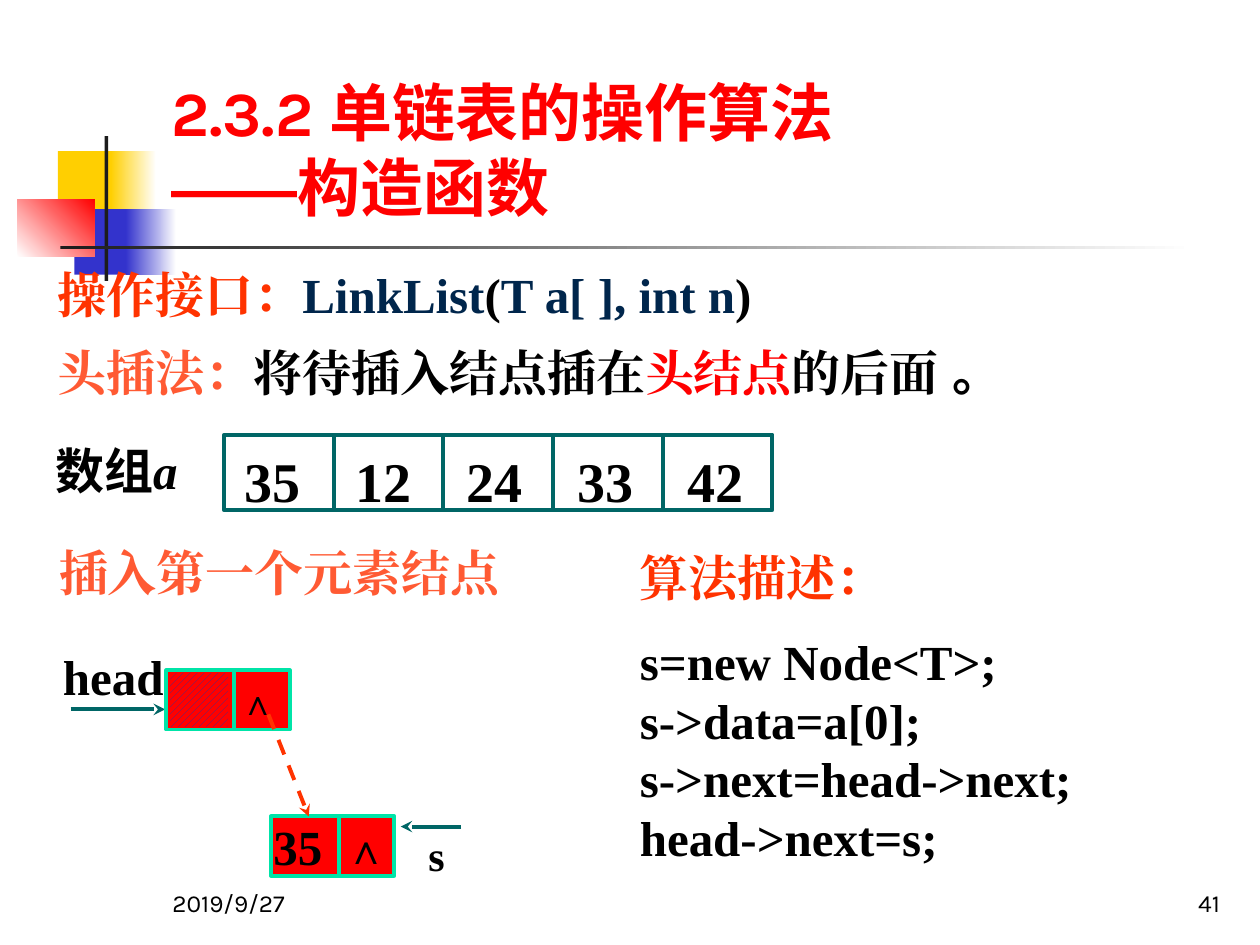
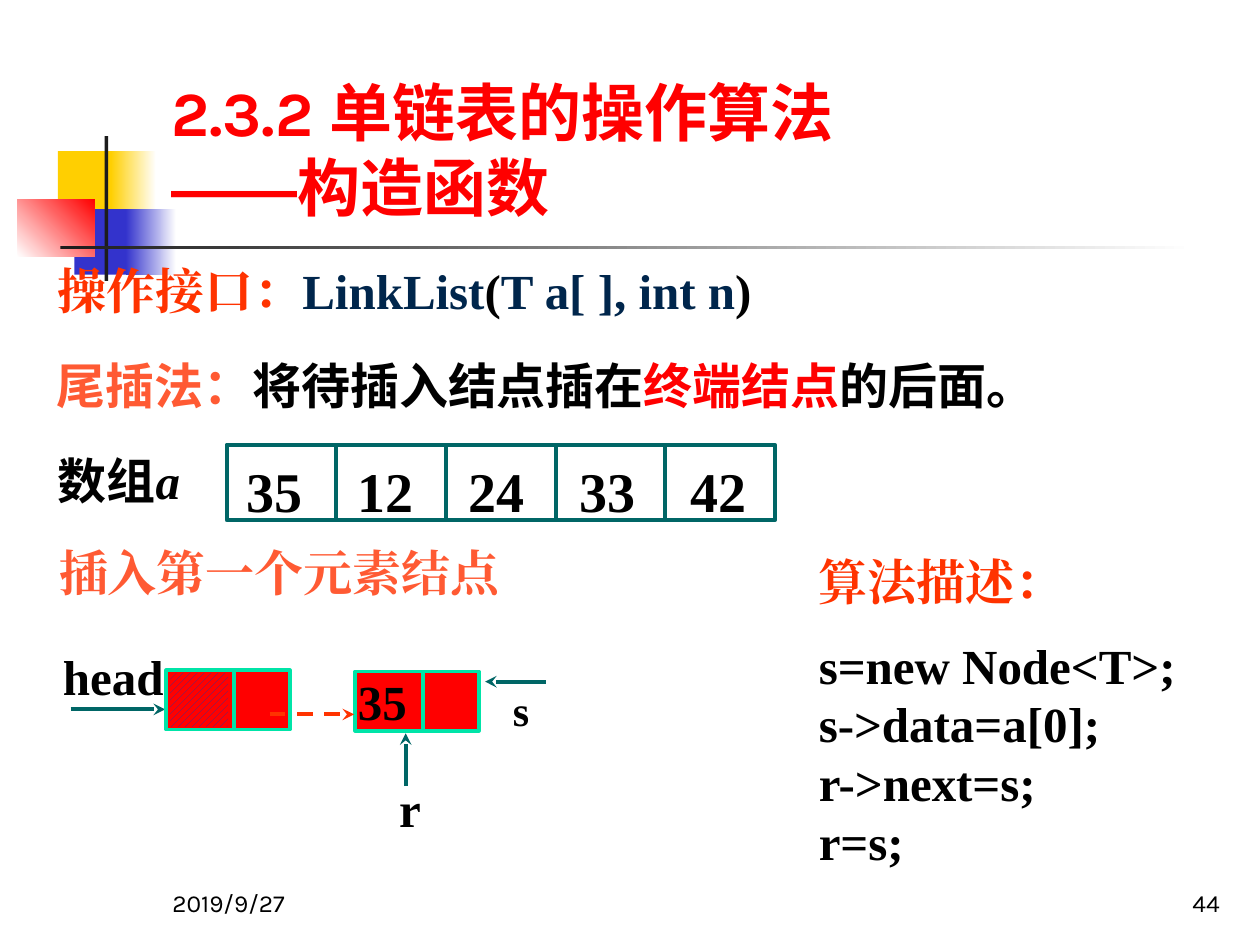
"""Build two slides on inserting the first node into a singly linked list."""
from lxml import etree
from pptx import Presentation
from pptx.dml.color import RGBColor
from pptx.enum.dml import MSO_LINE, MSO_PATTERN
from pptx.enum.shapes import MSO_CONNECTOR, MSO_SHAPE
from pptx.enum.text import MSO_ANCHOR, PP_ALIGN
from pptx.oxml.ns import qn
from pptx.util import Inches, Pt

RECT = MSO_SHAPE.RECTANGLE
LINE = MSO_CONNECTOR.STRAIGHT
DASH = MSO_LINE.DASH
HATCH = MSO_PATTERN.WIDE_UPWARD_DIAGONAL
TOP, BOTTOM = MSO_ANCHOR.TOP, MSO_ANCHOR.BOTTOM
LEFT, MID, RIGHT = PP_ALIGN.LEFT, PP_ALIGN.CENTER, PP_ALIGN.RIGHT

BLACK = RGBColor(0, 0, 0)
WHITE = RGBColor(255, 255, 255)
RED = RGBColor(255, 0, 0)
GOLD = RGBColor(0xFF, 0xCF, 0x01)
BLUE = RGBColor(0x33, 0x33, 0xCC)
INK = RGBColor(0x1C, 0x1C, 0x1C)
FLAME = RGBColor(0xFF, 0x33, 0x00)
CORAL = RGBColor(0xFF, 0x5A, 0x33)
NAVY = RGBColor(0x00, 0x26, 0x4C)
TEAL = RGBColor(0x00, 0x66, 0x66)
MINT = RGBColor(0x00, 0xE4, 0xA8)
VIOLET = RGBColor(0x33, 0x33, 0x99)
SERIF, SANS, KARLA = "Times New Roman", "Arial", "Karla"
CJK = "Noto Sans CJK SC"

BANDS = [
    ((0.46, 1.2, 0.48, 0.52), [GOLD], 0),
    ((0.88, 1.2, 0.36, 0.52), [GOLD, WHITE], 0),
    ((0.59, 1.66, 0.46, 0.52), [BLUE], 0),
    ((1, 1.66, 0.4, 0.52), [BLUE, WHITE], 0),
    ((0.14, 1.58, 0.61, 0.46), [WHITE, RED], 45),
    ((0.83, 1.08, 0.03, 1.15), [INK], 0),
    ((0.48, 1.95, 9, 0.03), [INK, WHITE], 0),
]
TITLE = [[("2.3.2 单链表的操作算法", RED, KARLA)],
         [("——", RED, SANS), ("构造函数", RED, KARLA)]]
CALL = [[("操作接口：", FLAME), ("LinkList", NAVY), ("(", BLACK),
         ("T a[ ], int n", NAVY), (")", BLACK)]]
ARRAY = [[("数组", BLACK, SANS), ("a", BLACK, SERIF)]]
HEAD_RULE = [[("头插法：", CORAL), ("将待插入结点插在", BLACK),
              ("头结点", RED), ("的后面", BLACK), (" 。", BLACK, SANS)]]
TAIL_RULE = [[("尾插法：", CORAL), ("将待插入结点插在", BLACK),
              ("终端结点", RED), ("的后面。", BLACK)]]
PAGES = [
    dict(no="41", call=2.05, rule=HEAD_RULE, face=SERIF, at=(0.46, 2.67),
         row=(1.78, 3.45), code=(4.98, 4.3), node=(2.15, 6.48),
         link=(2.13, 5.67, 2.45, 6.48),
         steps=["s=new Node<T>;", "s->data=a[0];",
                "s->next=head->next;", "head->next=s;"]),
    dict(no="44", call=2.02, rule=TAIL_RULE, face=CJK, at=(0.45, 2.77),
         row=(1.8, 3.53), code=(6.4, 4.33), node=(2.82, 5.33),
         link=(2.14, 5.67, 2.81, 5.67),
         steps=["s=new Node<T>;", "s->data=a[0];", "r->next=s;", "r=s;"]),
]


def write(slide, box, paras, size=28, face=SERIF, bold=True, align=LEFT,
          anchor=TOP, pad=(0.1, 0.05)):
    """Add a text box; each paragraph is a list of (text, colour[, face])."""
    frame = slide.shapes.add_textbox(*map(Inches, box)).text_frame
    frame.word_wrap, frame.vertical_anchor = True, anchor
    frame.margin_left = frame.margin_right = Inches(pad[0])
    frame.margin_top = frame.margin_bottom = Inches(pad[1])
    for i, runs in enumerate(paras):
        para = frame.add_paragraph() if i else frame.paragraphs[0]
        para.alignment = align
        para.font.size, para.font.bold = Pt(size), bold
        for words, color, *own in runs:
            run = para.add_run()
            run.text = words
            run.font.color.rgb = color
            run.font.name = own[0] if own else face
            east = etree.SubElement(run.font._element, qn("a:ea"))
            east.set("typeface", run.font.name)
    return frame


def draw(slide, ends, color, tip=True, dash=None):
    """Add a straight line, with a stealth tip unless told otherwise."""
    line = slide.shapes.add_connector(LINE, *map(Inches, ends))
    line.line.color.rgb, line.line.width = color, Pt(2.25)
    if dash:
        line.line.dash_style = dash
    if tip:
        etree.SubElement(line.line._get_or_add_ln(), qn("a:tailEnd"),
                         type="stealth")
    etree.SubElement(line._element.spPr, qn("a:effectLst"))


deck = Presentation()
deck.slide_width, deck.slide_height = Inches(10), Inches(7.5)

for page in PAGES:
    slide = deck.slides.add_slide(deck.slide_layouts[6])
    for box, tones, angle in BANDS:
        band = slide.shapes.add_shape(RECT, *map(Inches, box))
        band.shadow.inherit = False
        band.line.fill.background()
        if len(tones) == 1:
            band.fill.solid()
            band.fill.fore_color.rgb = tones[0]
        else:
            band.fill.gradient()
            band.fill.gradient_angle = angle
            for stop, tone in zip(band.fill.gradient_stops, tones):
                stop.color.rgb = tone
    write(slide, (1.27, 6.83, 2.08, 0.5), [[("2019/9/27", BLACK)]], 14,
          KARLA, False, anchor=BOTTOM)
    write(slide, (7.7, 6.83, 2.08, 0.5), [[(page["no"], BLACK)]], 14,
          KARLA, False, RIGHT, BOTTOM)
    write(slide, (1.26, 0.23, 8.52, 1.6), TITLE, 36, KARLA, anchor=BOTTOM)
    write(slide, (0.36, page["call"], 9, 0.57), CALL)
    write(slide, (*page["at"], 9.2, 0.57), page["rule"], face=page["face"],
          pad=(0, 0.05))

    x, y = page["row"]
    write(slide, (x - 1.44, y, 1.58, 0.57), ARRAY) \
        .paragraphs[0].runs[1].font.italic = True
    for i, num in enumerate(["35", "12", "24", "33", "42"]):
        cell = slide.shapes.add_shape(
            RECT, *map(Inches, (x + 0.87 * i, y, 0.87, 0.6)))
        cell.shadow.inherit = False
        cell.fill.background()
        cell.line.color.rgb, cell.line.width = TEAL, Pt(2.25)
        write(slide, (x + 0.16 + 0.88 * i, y + 0.09, 0.52, 0.53),
              [[(num, BLACK)]], 32, pad=(0, 0))

    write(slide, (0.37, 4.26, 3.92, 0.57), [[("插入第一个元素结点", CORAL)]])
    code = write(slide, (*page["code"], 4.31 if page["no"] == "41" else 3.34,
                         2.67),
                 [[("算法描述：", FLAME)]] + [[(s, BLACK)] for s in page["steps"]])
    code.paragraphs[1].space_before = Pt(14)

    draw(slide, (0.56, 5.63, 1.31, 5.63), TEAL)
    write(slide, (0.5, 5.13, 0.83, 0.51), [[("head", BLACK)]], pad=(0, 0))
    left, top = page["node"]
    for nx, ny in [(1.32, 5.32), (left, top)]:
        node = slide.shapes.add_shape(RECT, *map(Inches, (nx, ny, 0.98, 0.47)))
        node.shadow.inherit = False
        node.fill.solid()
        node.fill.fore_color.rgb = RED
        node.line.color.rgb, node.line.width = MINT, Pt(2.25)
        draw(slide, (nx + 0.54, ny, nx + 0.54, ny + 0.48), MINT, False)
    hatch = slide.shapes.add_shape(RECT, *map(Inches, (1.35, 5.34, 0.46, 0.43)))
    hatch.shadow.inherit = False
    hatch.line.fill.background()
    hatch.fill.patterned()
    hatch.fill.pattern = HATCH
    hatch.fill.fore_color.rgb, hatch.fill.back_color.rgb = VIOLET, RED
    write(slide, (left + 0.02, top, 0.52, 0.47), [[("35", BLACK)]], pad=(0, 0))
    draw(slide, (left + 1.51, top + 0.08, left + 1.03, top + 0.08), TEAL)
    write(slide, (left + 1.25, top + 0.1, 0.27, 0.4), [[("s", BLACK)]], 24,
          pad=(0, 0))
    draw(slide, page["link"], FLAME, dash=DASH)
    if page["no"] == "41":
        write(slide, (1.81, 5.35, 0.57, 0.49), [[("∧", BLACK)]], 20)
        write(slide, (2.64, 6.48, 0.49, 0.5), [[("∧", BLACK)]], 24, align=MID)
    else:
        draw(slide, (3.22, 6.24, 3.22, 5.82), TEAL)
        write(slide, (2.84, 6.18, 0.83, 0.51), [[("r", BLACK)]], align=MID,
              pad=(0, 0))

deck.save("out.pptx")
